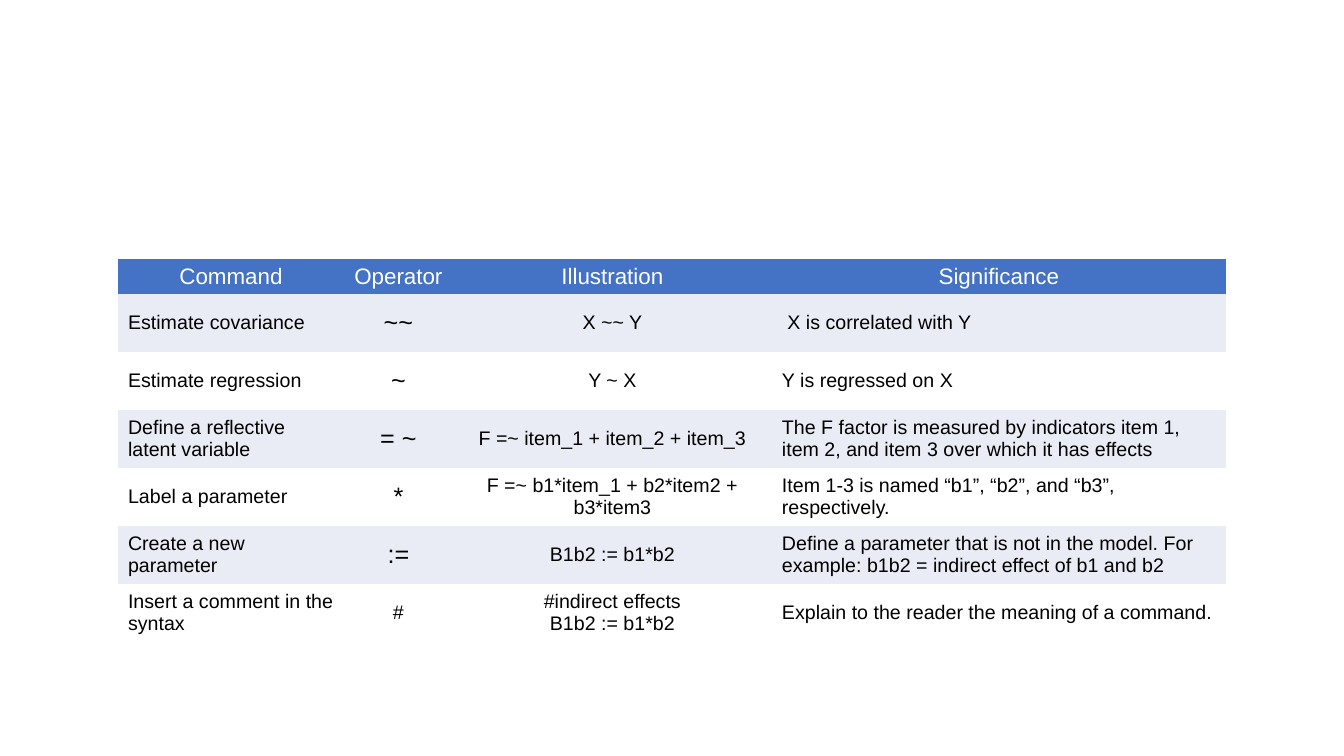
from pptx import Presentation
from pptx.dml.color import RGBColor as Rgb
from pptx.enum.text import MSO_ANCHOR as Anchor, PP_ALIGN as Align
from pptx.oxml.ns import qn
from pptx.util import Pt

SCALE = 914400 / 100.8
PLAIN = "{2D5ABB26-0587-4C30-8999-92F81FD0307C}"
COLORS = {"head": "4472C4", "band": "E9EBF5", "white": "FFFFFF", "text": "000000"}
HEADS = ["Command", "Operator", "Illustration", "Significance"]
ROWS = [
    ["Estimate covariance", "~~", "X ~~ Y", " X is correlated with Y"],
    ["Estimate regression", "~", "Y ~ X", "Y is regressed on X"],
    ["Define a reflective latent variable", "= ~", "F =~ item_1 + item_2 + item_3",
     "The F factor is measured by indicators item 1, item 2, and item 3 over which it has effects"],
    ["Label a parameter", "*", "F =~ b1*item_1 + b2*item2 + b3*item3",
     "Item 1-3 is named “b1”, “b2”, and “b3”, respectively."],
    ["Create a new parameter", ":=", "B1b2 := b1*b2",
     "Define a parameter that is not in the model. For example: b1b2 = indirect effect of b1 and b2"],
    ["Insert a comment in the syntax", "#", "#indirect effects\nB1b2 := b1*b2",
     "Explain to the reader the meaning of a command."],
]
WIDTHS = [226, 109, 319, 454]
HEAD_H, ROW_H = 35, 58


def px(n):
    return round(n * SCALE)


class Deck:
    font = "Arial"

    def __init__(self, wide, high):
        self.prs = Presentation()
        self.prs.slide_width, self.prs.slide_height = px(wide), px(high)
        self.slide = self.prs.slides.add_slide(self.prs.slide_layouts[6])

    def cell(self, cell, text, size, color, fill, align, anchor):
        cell.text = text
        cell.vertical_anchor = anchor
        cell.fill.solid()
        cell.fill.fore_color.rgb = Rgb.from_string(COLORS[fill])
        form = {"name": self.font, "size": Pt(size), "bold": False}
        for para in cell.text_frame.paragraphs:
            para.alignment = align
            for run in para.runs:
                for key, val in form.items():
                    setattr(run.font, key, val)
                run.font.color.rgb = Rgb.from_string(COLORS[color])

    def table(self, left, top, widths, heights):
        frame = self.slide.shapes.add_table(
            len(heights), len(widths), px(left), px(top), px(sum(widths)), px(sum(heights)))
        grid = frame.table
        grid.horz_banding = False
        frame._element.find(".//" + qn("a:tableStyleId")).text = PLAIN
        for col, wide in zip(grid.columns, widths):
            col.width = px(wide)
        for row, high in zip(grid.rows, heights):
            row.height = px(high)
        return grid


def main():
    deck = Deck(1344, 756)
    grid = deck.table(118, 259, WIDTHS, [HEAD_H] + [ROW_H] * len(ROWS))
    for c, head in enumerate(HEADS):
        deck.cell(grid.cell(0, c), head, 16, "white", "head", Align.CENTER, Anchor.TOP)
    for r, row in enumerate(ROWS, 1):
        fill = "band" if r % 2 else "white"
        for c, text in enumerate(row):
            size = 18 if c == 1 and text != "#" else 14
            align = Align.CENTER if c in (1, 2) else Align.LEFT
            deck.cell(grid.cell(r, c), text, size, "text", fill, align, Anchor.MIDDLE)
    deck.prs.save("out.pptx")


if __name__ == "__main__":
    main()
